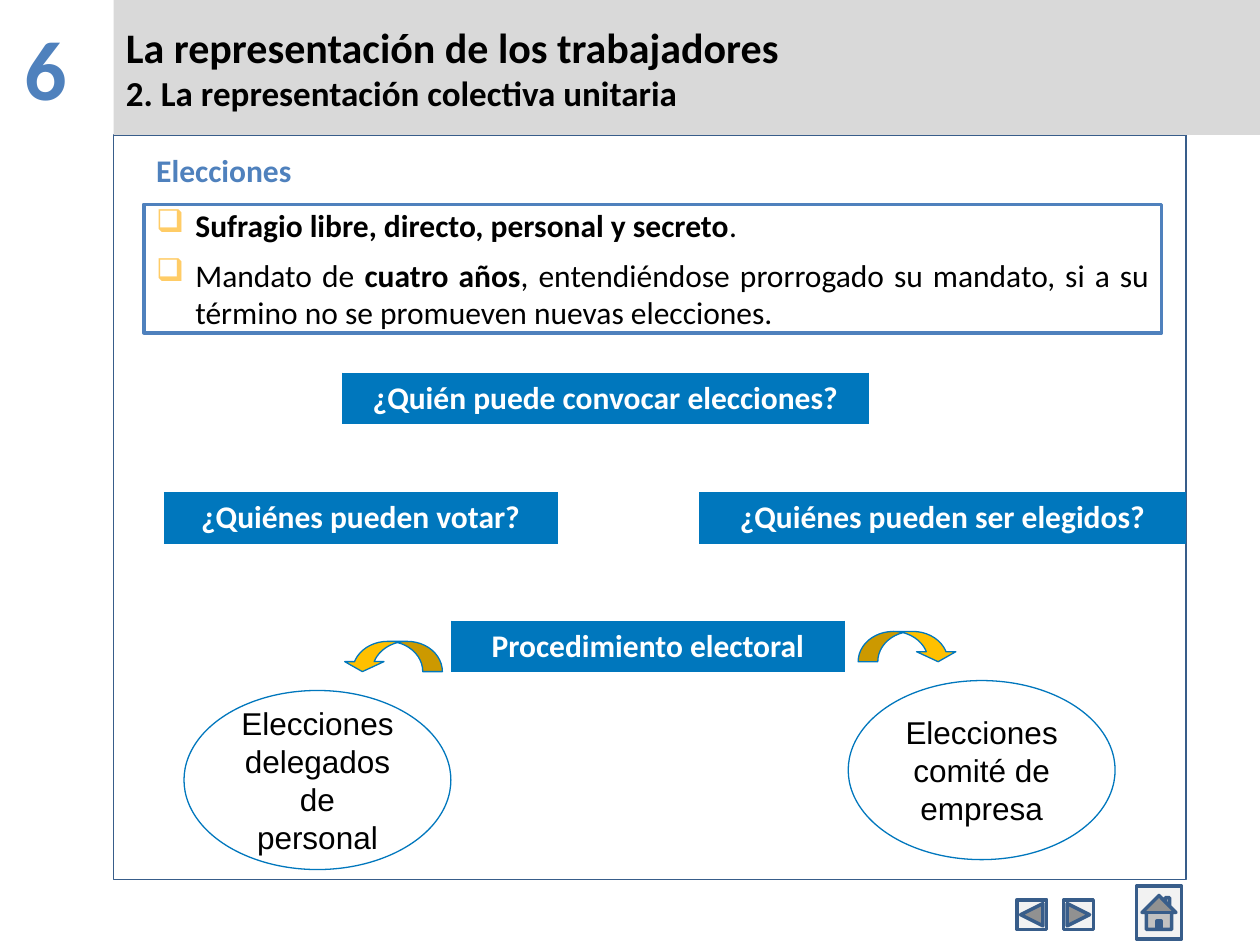
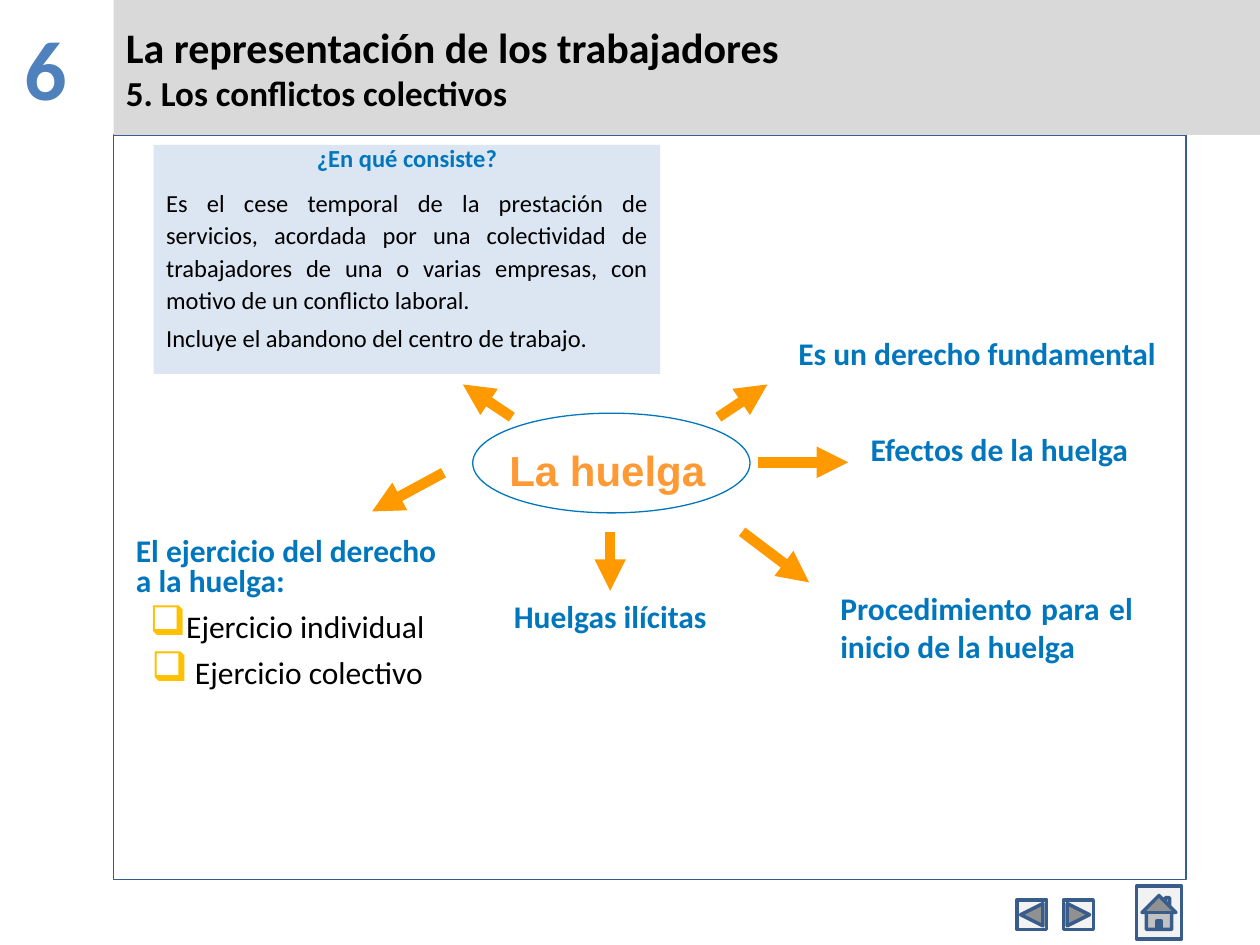
from dataclasses import dataclass

from lxml import etree
from pptx import Presentation
from pptx.dml.color import RGBColor
from pptx.enum.shapes import MSO_CONNECTOR, MSO_SHAPE
from pptx.enum.text import MSO_ANCHOR, PP_ALIGN
from pptx.oxml.ns import qn
from pptx.util import Cm, Pt

LEFT, CENTER, JUSTIFY = PP_ALIGN.LEFT, PP_ALIGN.CENTER, PP_ALIGN.JUSTIFY
TOP, MIDDLE = MSO_ANCHOR.TOP, MSO_ANCHOR.MIDDLE
STRAIGHT = MSO_CONNECTOR.STRAIGHT
RECTANGLE, OVAL = MSO_SHAPE.RECTANGLE, MSO_SHAPE.OVAL
CURVED_ARROW = MSO_SHAPE.CURVED_DOWN_ARROW
PREVIOUS = MSO_SHAPE.ACTION_BUTTON_BACK_OR_PREVIOUS
NEXT = MSO_SHAPE.ACTION_BUTTON_FORWARD_OR_NEXT
HOME = MSO_SHAPE.ACTION_BUTTON_HOME


@dataclass(frozen=True)
class Theme:
    """Colours, fonts and type sizes of the deck."""

    black: str = "000000"
    white: str = "FFFFFF"
    band: str = "D9D9D9"
    frame: str = "385D8A"
    button: str = "F2F2F2"
    accent: str = "4F81BD"
    blue: str = "0077BD"
    pale_blue: str = "DCE6F2"
    gold: str = "FFC000"
    pale_gold: str = "FFCC66"
    orange: str = "FF9900"
    soft_orange: str = "FF9933"
    body_font: str = "Calibri"
    oval_font: str = "Arial"
    number_size: int = 48
    title_size: int = 24
    subtitle_size: int = 20
    body_size: int = 18
    small_size: int = 14


@dataclass(frozen=True)
class Box:
    """A rectangle measured in centimetres."""

    left: float
    top: float
    width: float
    height: float

    def inner(self, left, top, width, height):
        """Return a box placed from this box's top left corner."""
        return Box(self.left + left, self.top + top, width, height)

    def lengths(self):
        """Return left, top, width and height as lengths."""
        return Cm(self.left), Cm(self.top), Cm(self.width), Cm(self.height)


THEME = Theme()
NUMBER = Box(0, 0, 2.29, 2.54)
BAND = Box(2.29, 0, 23.11, 2.72)
FRAME = Box(2.29, 2.72, 21.62, 15.01)
NAVIGATION = Box(20.5, 17.86, 3.32, 1.07)
INSETS = (0.25, 0.13, 0.25, 0.13)
TIGHT_INSETS = (0.25, 0.03, 0.25, 0.03)


def add_bullet(paragraph, color, percent, indent):
    """Give a paragraph a hollow square bullet."""
    properties = paragraph._p.get_or_add_pPr()
    properties.set("marL", str(Cm(indent)))
    properties.set("indent", str(-Cm(indent)))
    bullet_color = etree.SubElement(properties, qn("a:buClr"))
    etree.SubElement(bullet_color, qn("a:srgbClr"), val=color)
    etree.SubElement(properties, qn("a:buSzPct"), val=str(percent * 1000))
    etree.SubElement(properties, qn("a:buChar"), char="❑")


def write(frame, text, *, size=THEME.body_size, color=THEME.black, bold=False,
          font=THEME.body_font, align=LEFT, spacing=None, before=0, after=0,
          bullet=None, bullet_percent=100, indent=0):
    """Add a paragraph, where asterisks switch bold on and off."""
    paragraph = frame.paragraphs[0]
    if paragraph.runs:
        paragraph = frame.add_paragraph()
        paragraph.space_before = Pt(before)
    paragraph.alignment = align
    paragraph.space_after = Pt(after)
    if spacing:
        paragraph.line_spacing = spacing
    if bullet:
        add_bullet(paragraph, bullet, bullet_percent, indent)
    for index, part in enumerate(text.split("*")):
        if part:
            run = paragraph.add_run()
            run.text = part
            run.font.name = font
            run.font.size = Pt(size)
            run.font.bold = bold != (index % 2 == 1)
            run.font.color.rgb = RGBColor.from_string(color)


def prepare_frame(frame, insets=INSETS, anchor=TOP, wrap=True):
    """Set the insets, anchor and wrapping of a text frame."""
    (frame.margin_left, frame.margin_top,
     frame.margin_right, frame.margin_bottom) = map(Cm, insets)
    frame.vertical_anchor = anchor
    frame.word_wrap = wrap
    return frame


def add_text(slide, box, text=None, insets=INSETS, **style):
    """Add a text box holding one paragraph, if given."""
    frame = prepare_frame(slide.shapes.add_textbox(*box.lengths()).text_frame, insets)
    if text:
        write(frame, text, **style)
    return frame


def add_shape(slide, kind, box, fill=None, line=None, width=0.75):
    """Add a preset shape without a shadow."""
    shape = slide.shapes.add_shape(kind, *box.lengths())
    shape.shadow.inherit = False
    if fill:
        shape.fill.solid()
        shape.fill.fore_color.rgb = RGBColor.from_string(fill)
    else:
        shape.fill.background()
    if line:
        shape.line.color.rgb = RGBColor.from_string(line)
        shape.line.width = Pt(width)
    else:
        shape.line.fill.background()
    return shape


def add_question(slide, box, text):
    """Add a one-cell table as a blue label."""
    table = slide.shapes.add_table(1, 1, *box.lengths()).table
    table.first_row = table.horz_banding = False
    cell = table.cell(0, 0)
    properties = cell._tc.get_or_add_tcPr()
    for side in ("lnL", "lnR", "lnT", "lnB"):
        border = etree.SubElement(properties, qn("a:" + side), w=str(Pt(0.45)))
        border_fill = etree.SubElement(border, qn("a:solidFill"))
        etree.SubElement(border_fill, qn("a:srgbClr"), val=THEME.blue)
    cell.fill.solid()
    cell.fill.fore_color.rgb = RGBColor.from_string(THEME.blue)
    write(cell.text_frame, text, color=THEME.white, bold=True, align=CENTER)


def add_arrow(slide, box, start, end):
    """Draw a thick arrow between two points of a box."""
    points = [Cm(origin + offset) for point in (start, end)
              for origin, offset in zip((box.left, box.top), point)]
    connector = slide.shapes.add_connector(STRAIGHT, *points)
    connector.line.color.rgb = RGBColor.from_string(THEME.orange)
    connector.line.width = Pt(6)
    etree.SubElement(connector.line._get_or_add_ln(), qn("a:tailEnd"), type="triangle")
    etree.SubElement(connector._element.spPr, qn("a:effectLst"))


def add_navigation(slide, box):
    """Add the previous, next and home buttons."""
    buttons = ((PREVIOUS, (0, 0.28, 0.6, 0.6)),
               (NEXT, (0.94, 0.28, 0.6, 0.6)),
               (HOME, (2.41, 0, 0.91, 1.07)))
    for kind, place in buttons:
        add_shape(slide, kind, box.inner(*place), THEME.button, THEME.frame, 2)


def add_unit_slide(presentation, subtitle):
    """Add a slide with the unit number, title band, frame and buttons."""
    slide = presentation.slides.add_slide(presentation.slide_layouts[6])
    add_text(slide, NUMBER, "6", insets=(0.25, 0.33, 0.69, 0.13),
             size=THEME.number_size, color=THEME.accent, bold=True, align=CENTER)
    add_shape(slide, RECTANGLE, FRAME, line=THEME.frame)
    band = add_shape(slide, RECTANGLE, BAND, THEME.band)
    frame = prepare_frame(band.text_frame, anchor=MIDDLE)
    write(frame, "La representación de los trabajadores", size=THEME.title_size, bold=True)
    write(frame, subtitle, size=THEME.subtitle_size, bold=True)
    add_navigation(slide, NAVIGATION)
    return slide


def add_election_rules(slide, box):
    """Add the heading and the framed rules on elections."""
    add_text(slide, box.inner(0, 0, 8.13, 1.02), "Elecciones",
             color=THEME.accent, bold=True)
    rules = add_shape(slide, RECTANGLE, box.inner(0, 1.2, box.width, 2.59),
                      THEME.white, THEME.accent, 2)
    frame = prepare_frame(rules.text_frame, TIGHT_INSETS)
    for text in ("*Sufragio libre, directo, personal y secreto*.",
                 "Mandato de *cuatro años*, entendiéndose prorrogado su mandato, "
                 "si a su término no se promueven nuevas elecciones."):
        write(frame, text, align=JUSTIFY, before=3.4, after=3.4,
              bullet=THEME.pale_gold, indent=0.79)


def add_election_type(slide, box, text, arrow_left, flipped=False):
    """Add an oval for a type of election with its curved arrow."""
    arrow = add_shape(slide, CURVED_ARROW, box.inner(arrow_left, -0.99, 2.01, 0.61),
                      THEME.gold, THEME.blue)
    for index, value in enumerate((0.65, 1.3, 0.33)):
        arrow.adjustments[index] = value
    if flipped:
        arrow._element.spPr.find(qn("a:xfrm")).set("flipH", "1")
    oval = add_shape(slide, OVAL, box, line=THEME.blue)
    write(prepare_frame(oval.text_frame, anchor=MIDDLE), text,
          font=THEME.oval_font, align=CENTER)


def build_elections(presentation, box):
    """Build the slide about elections."""
    slide = add_unit_slide(presentation, "2. La representación colectiva unitaria")
    add_election_rules(slide, box.inner(0.61, 0.2, 20.52, 3.79))
    for left, top, width, text in (
            (4.62, 4.8, 10.59, "¿Quién puede convocar elecciones?"),
            (11.81, 7.21, 9.8, "¿Quiénes pueden ser elegidos?"),
            (1.02, 7.21, 7.92, "¿Quiénes pueden votar?"),
            (6.81, 9.8, 7.92, "Procedimiento electoral")):
        add_question(slide, box.inner(left, top, width, 1.02), text)
    add_election_type(slide, box.inner(1.42, 11.2, 5.38, 3.61),
                      "Elecciones delegados de personal", 3.2, flipped=True)
    add_election_type(slide, box.inner(14.81, 11, 5.38, 3.61),
                      "Elecciones comité de empresa", 0.2)


def add_definition(slide, box):
    """Add the shaded panel that defines a strike."""
    panel = add_shape(slide, RECTANGLE, box, THEME.pale_blue)
    frame = prepare_frame(panel.text_frame, TIGHT_INSETS)
    write(frame, "¿En qué consiste?", size=THEME.small_size, color=THEME.blue,
          bold=True, align=CENTER, spacing=0.9, after=3.5)
    for text in ("Es el cese temporal de la prestación de servicios, acordada por una "
                 "colectividad de trabajadores de una o varias empresas, con motivo de "
                 "un conflicto laboral.",
                 "Incluye el abandono del centro de trabajo."):
        write(frame, text, size=THEME.small_size, align=JUSTIFY, spacing=1.1, before=3.5)


def add_exercise(slide, box):
    """Add the list on exercising the right to strike."""
    frame = add_text(slide, box)
    spacing = {"spacing": 0.8, "before": 4.5, "after": 4.5}
    write(frame, "El ejercicio del derecho a la huelga:", color=THEME.blue,
          bold=True, **spacing)
    for text in ("Ejercicio individual", " Ejercicio colectivo"):
        write(frame, text, align=CENTER, bullet=THEME.gold, bullet_percent=130, **spacing)


def build_strike(presentation, box):
    """Build the slide about the strike."""
    slide = add_unit_slide(presentation, "5. Los conflictos colectivos")
    oval = add_shape(slide, OVAL, box.inner(7.24, 5.61, 5.59, 2.01), line=THEME.blue)
    frame = prepare_frame(oval.text_frame, (0.25, 0.13, 0.41, 0.13), MIDDLE, wrap=False)
    write(frame, "La huelga", size=THEME.title_size, color=THEME.soft_orange,
          bold=True, font=THEME.oval_font, align=CENTER, spacing=1.25)
    for start, end in (((12.19, 5.69), (13.18, 5.03)),
                       ((8.03, 5.69), (7.04, 5.03)),
                       ((6.65, 6.81), (5.21, 7.59)),
                       ((13, 6.6), (14.81, 6.6)),
                       ((10.01, 8), (10.01, 9.19)),
                       ((12.67, 8), (14.02, 9.02))):
        add_arrow(slide, box, start, end)
    for place, text, align, spacing in (
            ((13.41, 3.81, 8, 1.35), "Es un derecho fundamental", CENTER, 1.1),
            ((15.01, 5.82, 5.99, 1.4), "Efectos de la huelga", JUSTIFY, None),
            ((7.82, 9.19, 4.39, 1.04), "Huelgas ilícitas", JUSTIFY, None),
            ((14.4, 9.02, 6.4, 2.01), "Procedimiento para el inicio de la huelga",
             JUSTIFY, None)):
        add_text(slide, box.inner(*place), text, color=THEME.blue, bold=True,
                 align=align, spacing=spacing)
    add_exercise(slide, box.inner(0.2, 8, 6.6, 3.61))
    add_definition(slide, box.inner(0.81, 0.2, 10.21, 4.62))


def main():
    """Build and save the presentation."""
    presentation = Presentation()
    presentation.slide_width, presentation.slide_height = Cm(25.4), Cm(19.05)
    build_elections(presentation, FRAME)
    build_strike(presentation, FRAME)
    presentation.save("out.pptx")


if __name__ == "__main__":
    main()
